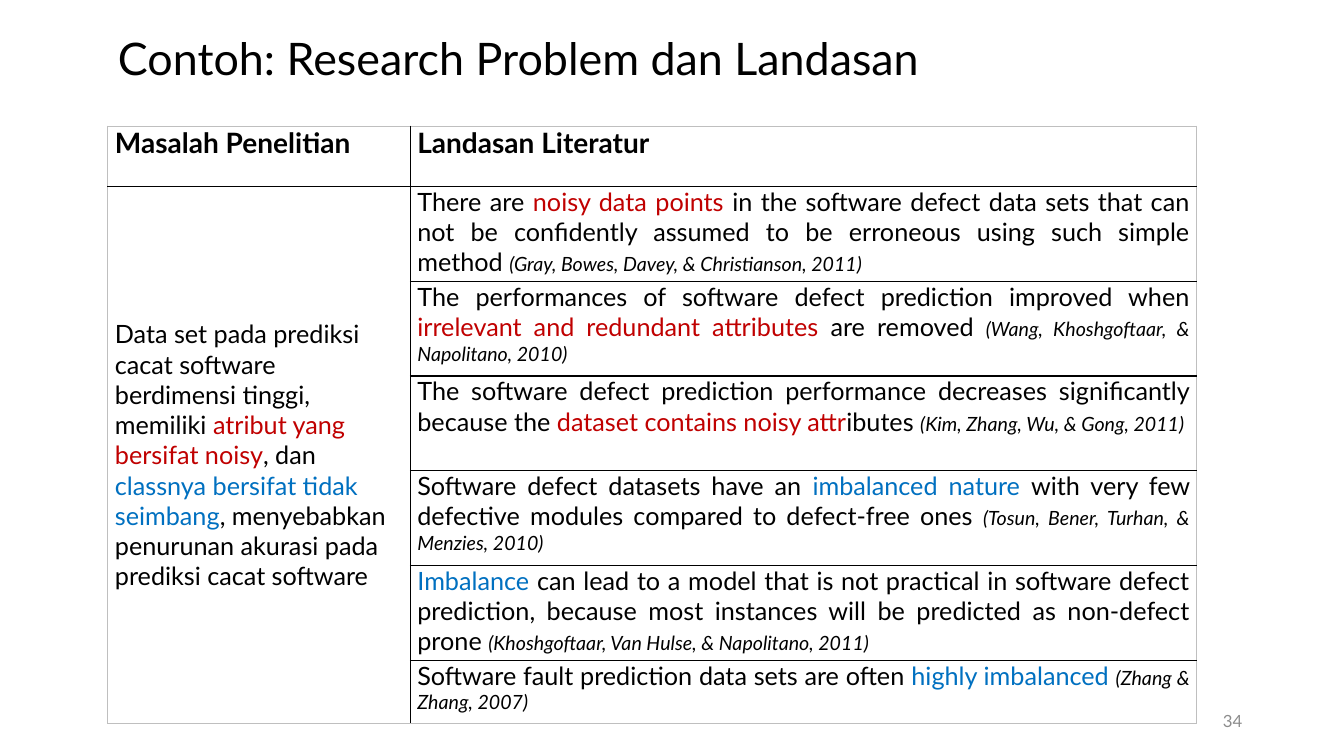
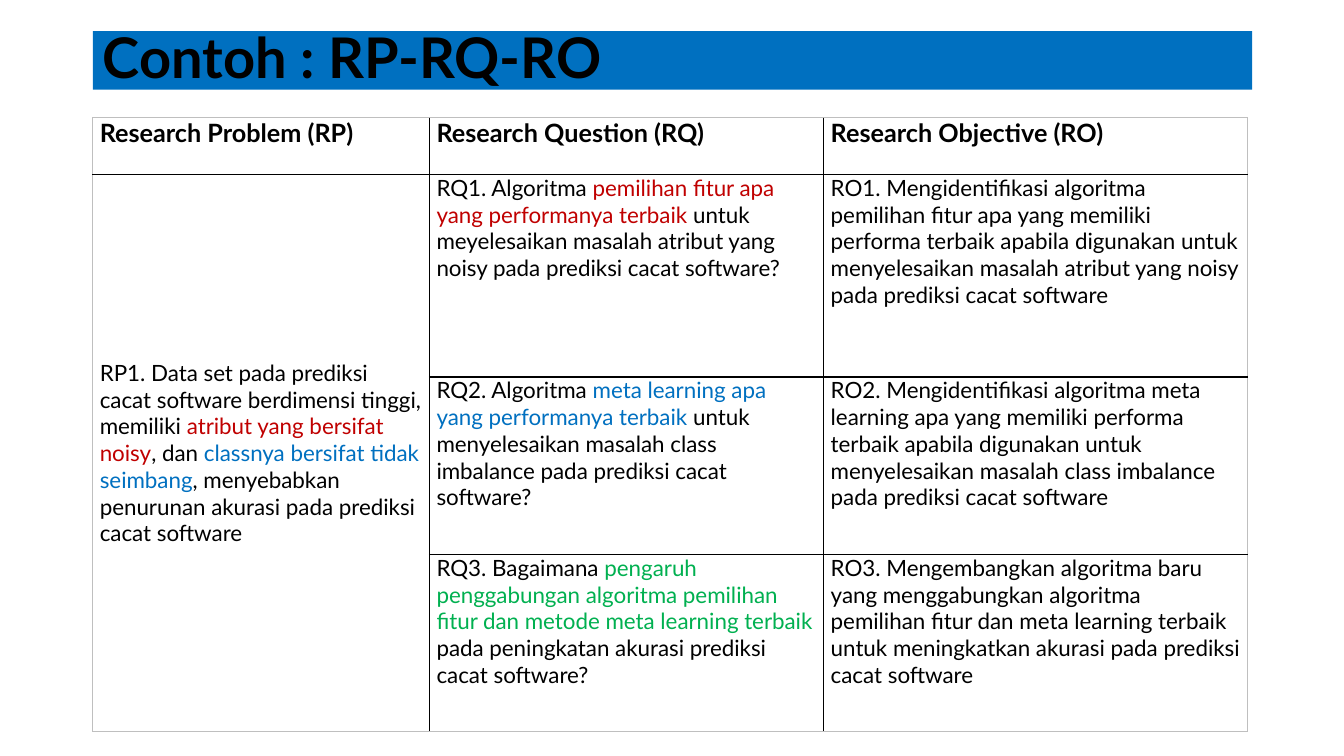
from lxml.etree import SubElement
from pptx import Presentation
from pptx.dml.color import RGBColor
from pptx.enum.text import MSO_ANCHOR as Anchor, MSO_AUTO_SIZE as Fit, PP_ALIGN as Align
from pptx.oxml.ns import qn
from pptx.util import Inches, Pt

FONT = "Lato"
BLACK, GREY, EDGE, WHITE = "000000", "8C8C8C", "BFBFBF", "FFFFFF"
RED, BLUE, GREEN = "C00000", "0070C0", "00B050"
CITE = "cite"

# A cell is a list of runs: plain text, or (text, colour or CITE).
PROBLEM = [
    "Data set pada prediksi cacat software berdimensi tinggi, memiliki ",
    ("atribut yang bersifat noisy", RED), ", dan ",
    ("classnya bersifat tidak seimbang", BLUE),
    ", menyebabkan penurunan akurasi pada prediksi cacat software",
]

BASIS = [
    [["Masalah Penelitian"], ["Landasan Literatur"]],
    [PROBLEM,
     ["There are ", ("noisy data points ", RED),
      "in the software defect data sets that can not be confidently assumed "
      "to be erroneous using such simple method ",
      ("(Gray, Bowes, Davey, & Christianson, 2011)", CITE)]],
    [[], ["The performances of software defect prediction improved when ",
          ("irrelevant and redundant attributes", RED), " are removed ",
          ("(Wang, Khoshgoftaar, & Napolitano, 2010)", CITE)]],
    [[], ["The software defect prediction performance decreases significantly because the ",
          ("dataset contains noisy attr", RED), "ibutes ",
          ("(Kim, Zhang, Wu, & Gong, 2011)", CITE)]],
    [[], ["Software defect datasets have an ", ("imbalanced nature ", BLUE),
          "with very few defective modules compared to defect-free ones ",
          ("(Tosun, Bener, Turhan, & Menzies, 2010)", CITE)]],
    [[], [("Imbalance", BLUE),
          " can lead to a model that is not practical in software defect prediction, "
          "because most instances will be predicted as non-defect prone ",
          ("(Khoshgoftaar, Van Hulse, & Napolitano, 2011)", CITE)]],
    [[], ["Software fault prediction data sets are often ",
          ("highly imbalanced ", BLUE), ("(Zhang & Zhang, 2007)", CITE)]],
]

GOALS = [
    [["Research Problem (RP)"], ["Research Question (RQ)"], ["Research Objective (RO)"]],
    [["RP1. "] + PROBLEM,
     ["RQ1. Algoritma ", ("pemilihan fitur apa yang performanya terbaik ", RED),
      "untuk meyelesaikan masalah atribut yang noisy pada prediksi cacat software?"],
     ["RO1. Mengidentifikasi algoritma pemilihan fitur apa yang memiliki performa "
      "terbaik apabila digunakan untuk menyelesaikan masalah atribut yang noisy "
      "pada prediksi cacat software"]],
    [[],
     ["RQ2. Algoritma ", ("meta learning apa yang performanya terbaik ", BLUE),
      "untuk menyelesaikan masalah class imbalance pada prediksi cacat software?"],
     ["RO2. Mengidentifikasi algoritma meta learning apa yang memiliki performa "
      "terbaik apabila digunakan untuk menyelesaikan masalah class imbalance "
      "pada prediksi cacat software"]],
    [[],
     ["RQ3. Bagaimana ",
      ("pengaruh penggabungan algoritma pemilihan fitur dan metode meta learning terbaik ", GREEN),
      "pada peningkatan akurasi prediksi cacat software?"],
     ["RO3. Mengembangkan algoritma baru yang menggabungkan algoritma pemilihan fitur "
      "dan meta learning terbaik untuk meningkatkan akurasi pada prediksi cacat software"]],
]

SLIDES = [
    dict(title="Contoh: Research Problem dan Landasan", box=(1.07, 0.23, 10.79, 0.75),
         size=32, band=None, rows=BASIS, at=(1.07, 1.25), cols=(3, 7.8),
         high=(0.6,) + (0.94,) * 5 + (0.63,), head=20, body=18,
         align=Align.JUSTIFY, page="34"),
    dict(title="Contoh : RP-RQ-RO", box=(0.92, 0.31, 11.5, 0.58),
         size=40, band=BLUE, rows=GOALS, at=(0.92, 1.17), cols=(3.34, 3.91, 4.2),
         high=(0.56, 2.01, 1.76, 1.76), head=18, body=16,
         align=Align.LEFT, page=None),
]


def rgb(code):
    return RGBColor.from_string(code)


def border(cell, side, outer):
    """Draw one cell edge: pale round the table, black inside it."""
    line = SubElement(cell._tc.get_or_add_tcPr(), qn("a:ln" + side),
                      w=str(Pt(0.75 if outer else 1)))
    fill = SubElement(line, qn("a:solidFill"))
    SubElement(fill, qn("a:srgbClr"), val=EDGE if outer else BLACK)


prs = Presentation()
prs.slide_width, prs.slide_height = Inches(13.33), Inches(7.5)

for item in SLIDES:
    slide = prs.slides.add_slide(prs.slide_layouts[5])

    # Title
    title = slide.shapes.title
    title.left, title.top, title.width, title.height = map(Inches, item["box"])
    if item["band"]:
        title.fill.solid()
        title.fill.fore_color.rgb = rgb(item["band"])
    frame = title.text_frame
    frame.text = item["title"]
    frame.auto_size = Fit.NONE
    frame.vertical_anchor = Anchor.MIDDLE
    para = frame.paragraphs[0]
    para.alignment, para.line_spacing = Align.LEFT, 0.9
    para.font.name, para.font.size = FONT, Pt(item["size"])
    para.font.bold = bool(item["band"])
    para.font.color.rgb = rgb(BLACK)

    # Table
    rows, cols, high = item["rows"], item["cols"], item["high"]
    table = slide.shapes.add_table(
        len(rows), len(cols), *map(Inches, item["at"]),
        Inches(sum(cols)), Inches(sum(high))).table
    table.first_row = table.horz_banding = False
    for col, width in zip(table.columns, cols):
        col.width = Inches(width)
    for row, height in zip(table.rows, high):
        row.height = Inches(height)
    table.cell(1, 0).merge(table.cell(len(rows) - 1, 0))

    for y, row in enumerate(rows):
        for x, runs in enumerate(row):
            cell = table.cell(y, x)
            tall = x == 0 and y > 0
            border(cell, "L", x == 0)
            border(cell, "R", x == len(cols) - 1)
            border(cell, "T", y == 0 or cell.is_spanned)
            border(cell, "B", y == len(rows) - 1 or tall)
            cell.fill.solid()
            cell.fill.fore_color.rgb = rgb(WHITE)
            cell.margin_left = cell.margin_right = Inches(0.07)
            cell.margin_top = cell.margin_bottom = 0
            cell.vertical_anchor = Anchor.MIDDLE if tall else Anchor.TOP
            if cell.is_spanned:
                continue
            para = cell.text_frame.paragraphs[0]
            para.alignment = Align.LEFT if tall else item["align"]
            para.space_after = Pt(11)
            para.font.name = FONT
            para.font.size = Pt(item["body"] if y else item["head"])
            para.font.bold = y == 0
            for part in runs:
                text, style = (part, BLACK) if isinstance(part, str) else part
                run = para.add_run()
                run.text = text
                if style == CITE:
                    run.font.size, run.font.italic = Pt(14), True
                    style = BLACK
                run.font.color.rgb = rgb(style)

    # Page number
    if item["page"]:
        box = slide.shapes.add_textbox(Inches(9.42), Inches(6.95), Inches(3), Inches(0.4))
        frame = box.text_frame
        frame.word_wrap = True
        frame.vertical_anchor = Anchor.MIDDLE
        frame.text = item["page"]
        para = frame.paragraphs[0]
        para.alignment = Align.RIGHT
        para.font.name, para.font.size = FONT, Pt(12)
        para.font.color.rgb = rgb(GREY)

prs.save("out.pptx")
